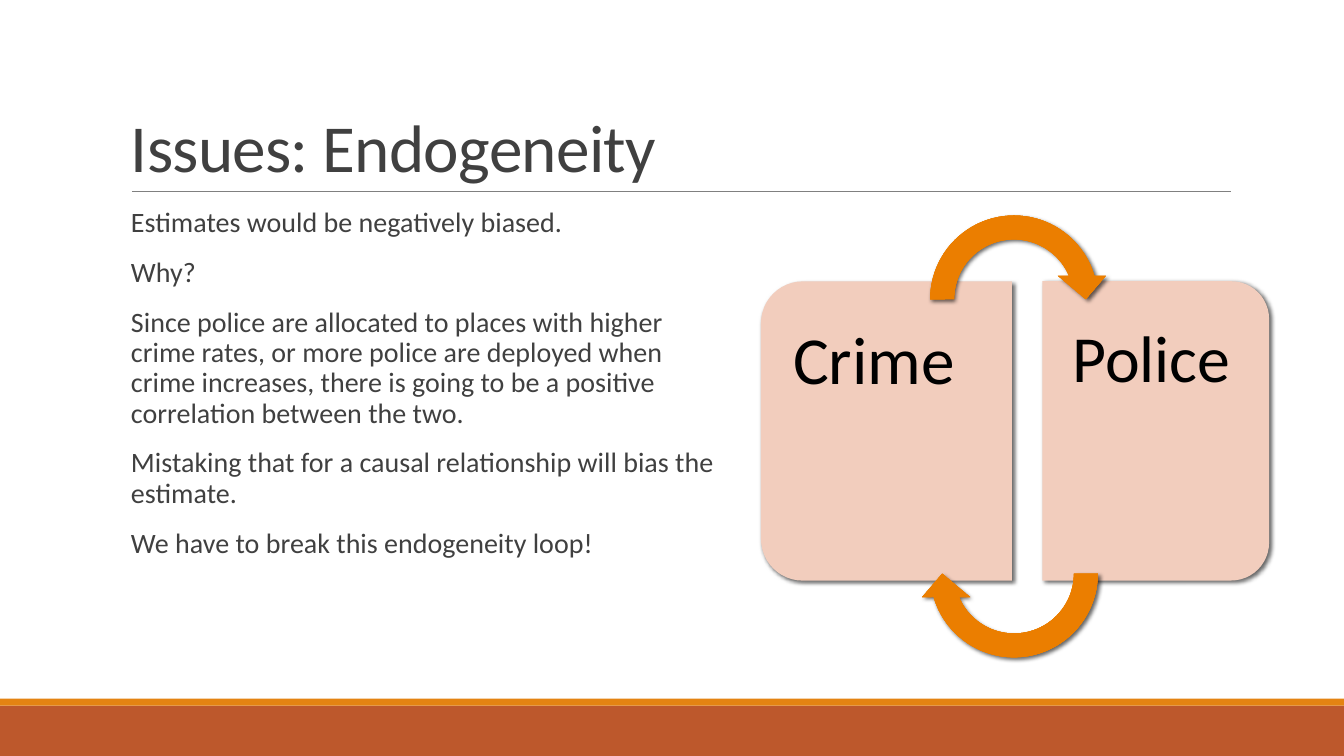
from lxml import etree
from pptx import Presentation
from pptx.dml.color import RGBColor
from pptx.enum.shapes import MSO_CONNECTOR, MSO_SHAPE
from pptx.enum.text import MSO_ANCHOR
from pptx.oxml.ns import qn
from pptx.util import Pt

RECT = MSO_SHAPE.RECTANGLE
ROUND_TOP = MSO_SHAPE.ROUND_2_SAME_RECTANGLE
CIRCULAR_ARROW = MSO_SHAPE.CIRCULAR_ARROW
STRAIGHT = MSO_CONNECTOR.STRAIGHT
TOP, BOTTOM = MSO_ANCHOR.TOP, MSO_ANCHOR.BOTTOM

WIDTH, HEIGHT = 960, 540
FONT, TEXT_COLOUR = "Calibri", "404040"

title = "Issues: Endogeneity"
argument = [
    "Estimates would be negatively biased.",
    "Why?",
    "Since police are allocated to places with higher crime rates, or more police "
    "are deployed when crime increases, there is going to be a positive correlation "
    "between the two.",
    "Mistaking that for a causal relationship will bias the estimate.",
    "We have to break this endogeneity loop!",
]
footer_bands = [(504, 36, "BD582C"), (499, 5, "E48312")]
loop_sides = [
    {"label": "Crime", "size": 48, "panel": (526.3, 218.2, 213.8, 179.3), "turn": 270,
     "label_box": (552.2, 209.5, 170.6, 196.6), "insets": (14.4, 23.8, 21.6, 23.8)},
    {"label": "Police", "size": 47, "panel": (718.6, 226.8, 213.8, 162), "turn": 90,
     "label_box": (745.2, 208.8, 154.1, 198), "insets": (20.9, 23.8, 14.4, 23.8)},
]
loop_arrows = [(145.4, 0), (341.3, 180)]
ARROW_LEFT, ARROW_SIZE = 655.9, 136.8
arrow_stops = [(0, "E57B00"), (34, "E87D00"), (70, "EB7E00"), (100, "EF8407")]

prs = Presentation()
prs.slide_width, prs.slide_height = Pt(WIDTH), Pt(HEIGHT)
slide = prs.slides.add_slide(prs.slide_layouts[6])


def colour(value):
    return RGBColor.from_string(value)


def add_xml(parent, tag, **attributes):
    element = etree.SubElement(parent, qn(tag))
    for key, value in attributes.items():
        element.set(key, str(value))
    return element


def add_panel(kind, box, fill, turn=0):
    panel = slide.shapes.add_shape(kind, *map(Pt, box))
    panel.rotation = turn
    panel.shadow.inherit = False
    panel.fill.solid()
    panel.fill.fore_color.rgb = colour(fill)
    panel.line.fill.background()
    return panel


def add_shadow(panel):
    effects = panel._element.spPr.find(qn("a:effectLst"))
    shadow = add_xml(effects, "a:outerShdw", blurRad=Pt(3), dist=Pt(2),
                     dir=45 * 60000, algn="ctr", rotWithShape=0)
    add_xml(add_xml(shadow, "a:srgbClr", val="000000"), "a:alpha", val=60000)


def add_radial_fill(panel):
    panel.fill.gradient()
    gradient = panel._element.spPr.find(qn("a:gradFill"))
    for child in list(gradient):
        gradient.remove(child)
    stops = add_xml(gradient, "a:gsLst")
    for position, value in arrow_stops:
        stop = add_xml(stops, "a:gs", pos=position * 1000)
        add_xml(stop, "a:srgbClr", val=value)
    radial = add_xml(gradient, "a:path", path="circle")
    add_xml(radial, "a:fillToRect", l=100000, t=100000, r=100000, b=100000)


def add_text(box, lines, size, fill, insets, spacing, anchor=TOP):
    frame = slide.shapes.add_textbox(*map(Pt, box)).text_frame
    frame.word_wrap = True
    frame.vertical_anchor = anchor
    (frame.margin_left, frame.margin_top,
     frame.margin_right, frame.margin_bottom) = map(Pt, insets)
    frame.text = "\n".join(lines)
    for paragraph in frame.paragraphs:
        paragraph.line_spacing = spacing
        font = paragraph.runs[0].font
        font.name, font.size = FONT, Pt(size)
        font.color.rgb = colour(fill)
    return frame


for top, height, fill in footer_bands:
    add_panel(RECT, (0, top, WIDTH, height), fill)

rule = slide.shapes.add_connector(STRAIGHT, Pt(94.3), Pt(136.8), Pt(879.1), Pt(136.8))
rule.line.color.rgb = colour("808080")
rule.line.width = Pt(0.5)
add_xml(rule._element.spPr, "a:effectLst")

heading = add_text((86.4, 22.3, 792, 114.5), [title], 48, TEXT_COLOUR,
                   (7.2, 3.6, 7.2, 3.6), 0.85, BOTTOM)
heading.paragraphs[0].runs[0].font._element.set("spc", "-50")

body = add_text((86.4, 145.4, 429.8, 316.8), argument, 20, TEXT_COLOUR,
                (0, 3.6, 0, 3.6), 0.9)
for index, paragraph in enumerate(body.paragraphs):
    paragraph.space_before = Pt(12 if index else 0)
    paragraph.space_after = Pt(2)
    paragraph._p.get_or_add_pPr().set("marL", str(Pt(7.2)))

for side in loop_sides:
    add_shadow(add_panel(ROUND_TOP, side["panel"], "F2CDBD", side["turn"]))
    add_text(side["label_box"], [side["label"]], side["size"], "000000",
             side["insets"], 0.9)

for top, turn in loop_arrows:
    arrow = add_panel(CIRCULAR_ARROW, (ARROW_LEFT, top, ARROW_SIZE, ARROW_SIZE),
                      "E87D00", turn)
    add_radial_fill(arrow)
    add_shadow(arrow)

prs.save("out.pptx")
